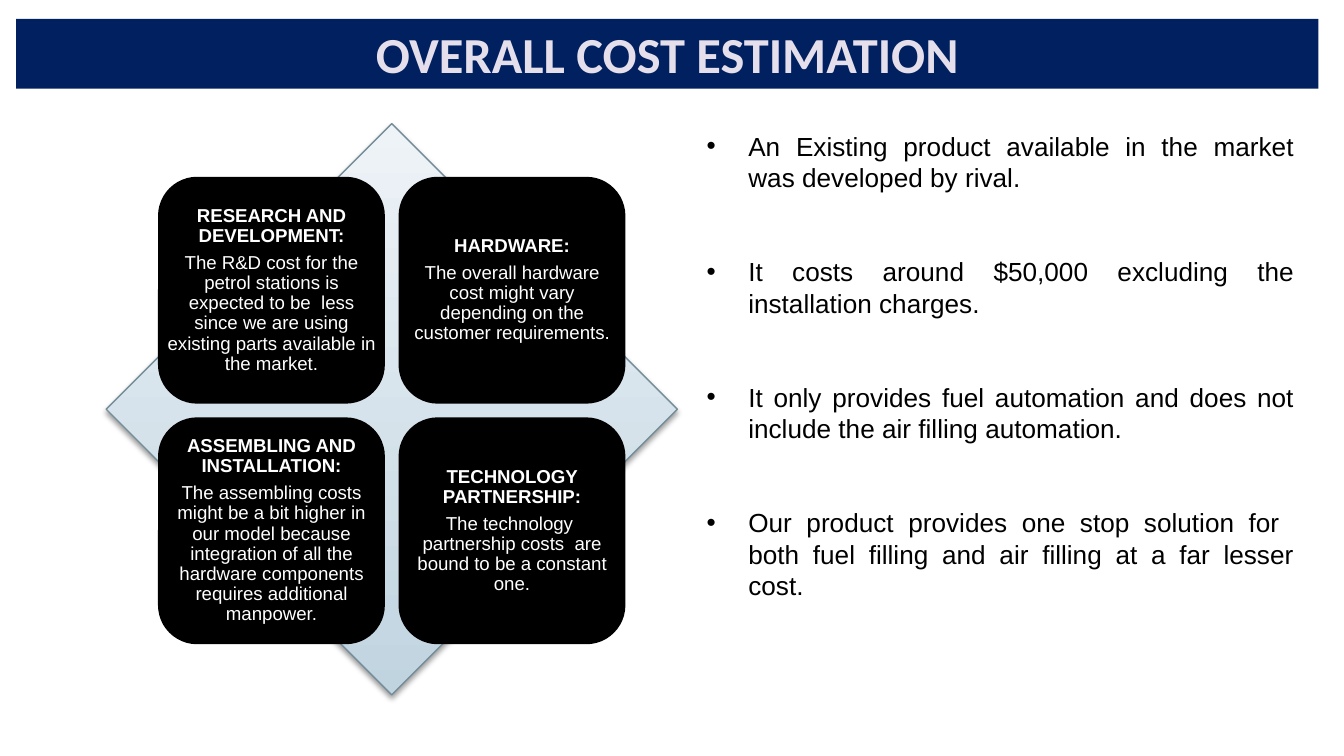
from lxml import etree
from pptx import Presentation
from pptx.dml.color import RGBColor
from pptx.enum.shapes import MSO_SHAPE
from pptx.enum.text import MSO_ANCHOR, PP_ALIGN
from pptx.oxml.ns import qn
from pptx.util import Inches, Pt

DIAMOND, ROUNDED = MSO_SHAPE.DIAMOND, MSO_SHAPE.ROUNDED_RECTANGLE
MIDDLE, TOP = MSO_ANCHOR.MIDDLE, MSO_ANCHOR.TOP
CENTER, JUSTIFY = PP_ALIGN.CENTER, PP_ALIGN.JUSTIFY

NAVY = RGBColor(0x00, 0x20, 0x60)
LAVENDER = RGBColor(0xE5, 0xDF, 0xEC)
MIST = RGBColor(0xC0, 0xD4, 0xE0)
PALE = RGBColor(0xEE, 0xF3, 0xF7)
SLATE = RGBColor(0x74, 0x8D, 0x99)
BLACK = RGBColor(0x00, 0x00, 0x00)
WHITE = RGBColor(0xFF, 0xFF, 0xFF)

SLIDE_WIDTH = Inches(10)
SLIDE_HEIGHT = SLIDE_WIDTH * 9 // 16
CARD_SIZE, CARD_GAP = 1.66, 0.13
CARDS_LEFT, CARDS_TOP = 1.19, 1.33

COST_CARDS = [
    ("RESEARCH AND DEVELOPMENT:",
     "The R&D cost for the petrol stations is expected to be  less since we are "
     "using existing parts available in the market."),
    ("HARDWARE:",
     "The overall hardware cost might vary depending on the customer requirements."),
    ("ASSEMBLING AND INSTALLATION:",
     "The assembling costs might be a bit higher in our model because integration "
     "of all the hardware components requires additional manpower."),
    ("TECHNOLOGY PARTNERSHIP:",
     "The technology  partnership costs  are bound to be a constant one."),
]
MARKET_POINTS = [
    "An Existing product available in the market was developed by rival.",
    "It costs around $50,000 excluding the installation charges.",
    "It only provides fuel automation and does not include the air filling automation.",
    "Our product provides one stop solution for  both fuel filling and air filling "
    "at a far lesser cost.",
]


def write_paragraph(frame, text, *, size, color, font="Arial", bold=False, align=CENTER,
                    spacing=1.0, before=0, after=0, bullet_indent=None):
    """Write text into the first empty paragraph or a new one."""
    paragraph = frame.paragraphs[0]
    if paragraph.runs:
        paragraph = frame.add_paragraph()
    paragraph.alignment = align
    paragraph.line_spacing = spacing
    paragraph.space_before = Pt(before)
    paragraph.space_after = Pt(after)
    if bullet_indent is not None:
        properties = paragraph._p.get_or_add_pPr()
        properties.set("marL", str(Inches(bullet_indent)))
        properties.set("indent", str(-Inches(bullet_indent)))
        etree.SubElement(properties, qn("a:buFont"), typeface="Arial")
        etree.SubElement(properties, qn("a:buChar"), char="•")
    run = paragraph.add_run()
    run.text = text
    run.font.name = font
    run.font.size = Pt(size)
    run.font.bold = bold
    run.font.color.rgb = color


class SlideBuilder:
    """Hold the slide and draw its elements in one style."""

    def __init__(self, presentation):
        """Add a title-only slide."""
        self.slide = presentation.slides.add_slide(presentation.slide_layouts[5])
        self.shapes = self.slide.shapes

    def title(self, text, left, top, width, height):
        """Place the title as a filled banner."""
        title = self.shapes.title
        title.left, title.top = Inches(left), Inches(top)
        title.width, title.height = Inches(width), Inches(height)
        title.fill.solid()
        title.fill.fore_color.rgb = NAVY
        self.format_frame(title.text_frame, MIDDLE, 0.07, 0.04)
        write_paragraph(title.text_frame, text, size=27, color=LAVENDER,
                        font="Calibri", bold=True)

    def format_frame(self, frame, anchor, side, edge):
        """Set wrapping, anchor and margins of a text frame."""
        frame.word_wrap = True
        frame.vertical_anchor = anchor
        frame.margin_left = frame.margin_right = Inches(side)
        frame.margin_top = frame.margin_bottom = Inches(edge)

    def shape(self, kind, left, top, width, height, line_color, line_width):
        """Add an outlined preset shape without shadow."""
        shape = self.shapes.add_shape(kind, Inches(left), Inches(top),
                                      Inches(width), Inches(height))
        shape.shadow.inherit = False
        shape.line.color.rgb = line_color
        shape.line.width = Pt(line_width)
        return shape

    def text_box(self, left, top, width, height, anchor, side, edge):
        """Add a wrapping text box and return its frame."""
        box = self.shapes.add_textbox(Inches(left), Inches(top),
                                      Inches(width), Inches(height))
        self.format_frame(box.text_frame, anchor, side, edge)
        return box.text_frame

    def diamond(self, left, top, size):
        """Add the shaded diamond with a soft shadow below it."""
        diamond = self.shape(DIAMOND, left, top, size, size, SLATE, 0.75)
        diamond.fill.gradient()
        diamond.fill.gradient_angle = 90
        for stop, color in zip(diamond.fill.gradient_stops, (MIST, PALE)):
            stop.color.rgb = color
        effects = diamond._element.spPr.find(qn("a:effectLst"))
        shadow = etree.SubElement(effects, qn("a:outerShdw"), blurRad=str(Pt(3.1)),
                                  dist=str(Pt(1.6)), dir="5400000", rotWithShape="0")
        shade = etree.SubElement(shadow, qn("a:srgbClr"), val=str(BLACK))
        etree.SubElement(shade, qn("a:alpha"), val="38000")

    def card(self, heading, body, left, top, size):
        """Add a black rounded card with heading and body."""
        card = self.shape(ROUNDED, left, top, size, size, BLACK, 2)
        card.fill.solid()
        card.fill.fore_color.rgb = BLACK
        frame = self.text_box(left, top, size, size, MIDDLE, 0.04, 0.04)
        for text, bold in ((heading, True), (body, False)):
            write_paragraph(frame, text, size=10, color=WHITE, bold=bold,
                            spacing=0.9, after=3.5)

    def bullets(self, points, left, top, width, height):
        """Add a justified bullet list with wide gaps."""
        frame = self.text_box(left, top, width, height, TOP, 0.1, 0.05)
        for index, point in enumerate(points):
            write_paragraph(frame, point, size=14, color=BLACK, align=JUSTIFY,
                            spacing=Pt(16.8), before=33.6 if index else 0,
                            bullet_indent=0.31)


def main():
    """Build and save the presentation."""
    presentation = Presentation()
    presentation.slide_width, presentation.slide_height = SLIDE_WIDTH, SLIDE_HEIGHT
    builder = SlideBuilder(presentation)
    builder.title("OVERALL COST ESTIMATION", 0.12, 0.14, 9.69, 0.52)
    builder.diamond(0.79, 0.92, 4.25)
    pitch = CARD_SIZE + CARD_GAP
    for index, (heading, body) in enumerate(COST_CARDS):
        row, column = divmod(index, 2)
        builder.card(heading, body, CARDS_LEFT + column * pitch,
                     CARDS_TOP + row * pitch, CARD_SIZE)
    builder.bullets(MARKET_POINTS, 5.16, 0.92, 4.57, 4.34)
    presentation.save("out.pptx")


if __name__ == "__main__":
    main()
